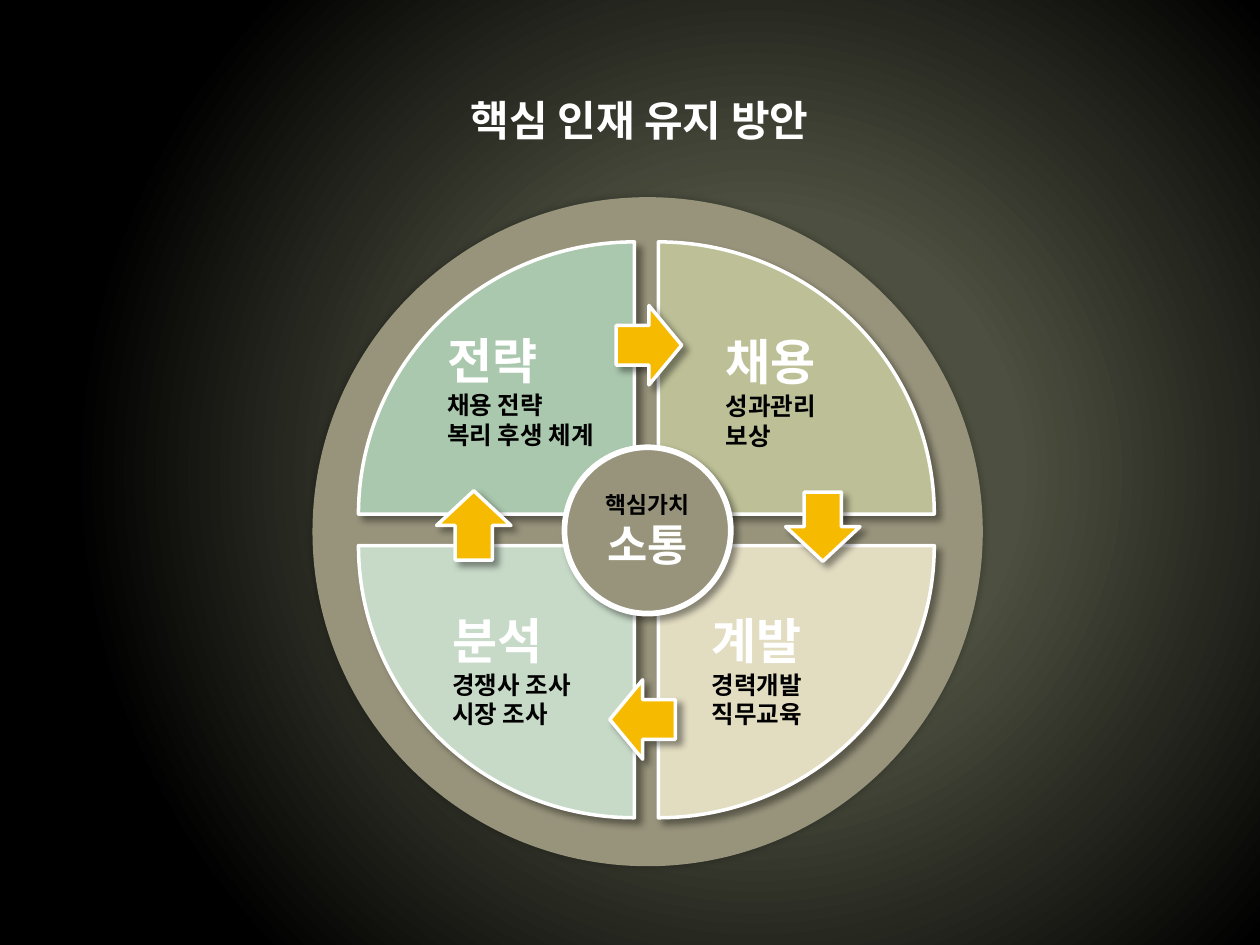
from lxml.etree import SubElement
from pptx import Presentation
from pptx.dml.color import RGBColor
from pptx.enum.shapes import MSO_SHAPE as Shape
from pptx.enum.text import MSO_ANCHOR as Anchor, MSO_AUTO_SIZE as AutoSize, PP_ALIGN as Align
from pptx.oxml.ns import qn
from pptx.util import Inches, Pt

FONT = "Noto Sans CJK KR"
WHITE = RGBColor(0xFF, 0xFF, 0xFF)
BLACK = RGBColor(0x00, 0x00, 0x00)
OLIVE = RGBColor(0x4D, 0x50, 0x40)
TAUPE = RGBColor(0x98, 0x94, 0x7C)
AMBER = RGBColor(0xF6, 0xBB, 0x00)
SAGE = RGBColor(0xAA, 0xC8, 0xAD)
MOSS = RGBColor(0xBD, 0xC0, 0x97)
SAND = RGBColor(0xE2, 0xDC, 0xC1)
MINT = RGBColor(0xC7, 0xDA, 0xC8)

COLUMNS = (3.94, 6.32)
ROWS = (3.0, 5.41)
WEDGE = (2.19, 2.16)
LINE_HEIGHT = 1.22

# column, row, turn, colour, heading, details, text left, text top, text width
QUADRANTS = (
    (0, 0, 0, SAGE, "전략", ("채용 전략", "복리 후생 체계"), 3.45, 2.57, 1.88),
    (1, 0, 90, MOSS, "채용", ("성과관리", "보상"), 5.66, 2.58, 1.33),
    (1, 1, 180, SAND, "계발", ("경력개발", "직무교육"), 5.55, 4.79, 1.88),
    (0, 1, 270, MINT, "분석", ("경쟁사 조사", "시장 조사"), 3.49, 4.79, 1.88),
)
ARROWS = (
    (5.15, 2.74, 0.52, 0.63, 0),
    (6.53, 4.18, 0.55, 0.59, 90),
    (5.10, 5.71, 0.52, 0.63, 180),
    (3.76, 4.17, 0.55, 0.59, 270),
)


def paint_background(slide):
    """Fill the slide with a circular gradient from olive to black."""
    slide.background.fill.gradient()
    gradient = slide.element.find(".//" + qn("a:gradFill"))
    for part in list(gradient):
        gradient.remove(part)
    stops = SubElement(gradient, qn("a:gsLst"))
    for share, color in ((33, OLIVE), (87, BLACK)):
        stop = SubElement(stops, qn("a:gs"), pos=str(share * 1000))
        SubElement(stop, qn("a:srgbClr"), val=str(color))
    circle = SubElement(gradient, qn("a:path"), path="circle")
    SubElement(circle, qn("a:fillToRect"), l="60000", t="50000", r="40000", b="50000")


def cast_shadow(shape, alpha=40, distance=4, angle=45):
    """Give a shape a soft black outer shadow."""
    shape.shadow.inherit = False
    effects = shape.element.spPr.find(qn("a:effectLst"))
    shadow = SubElement(effects, qn("a:outerShdw"), blurRad=str(Pt(4)), dist=str(Pt(distance)),
                        dir=str(angle * 60000), algn="ctr", rotWithShape="0")
    color = SubElement(shadow, qn("a:srgbClr"), val=str(BLACK))
    SubElement(color, qn("a:alpha"), val=str(alpha * 1000))


def add_piece(slide, kind, center, size, color, turn=0, outline=2, **shadow):
    """Add a filled, shadowed preset shape around a centre point."""
    (x, y), (width, height) = center, size
    piece = slide.shapes.add_shape(kind, Inches(x - width / 2), Inches(y - height / 2),
                                   Inches(width), Inches(height))
    piece.rotation = turn
    piece.fill.solid()
    piece.fill.fore_color.rgb = color
    if outline:
        piece.line.color.rgb = WHITE
        piece.line.width = Pt(outline)
    else:
        piece.line.fill.background()
    cast_shadow(piece, **shadow)
    return piece


def write_line(frame, text, size, color, align=Align.LEFT):
    """Write one bold paragraph, using the empty first one when available."""
    paragraph = frame.paragraphs[0] if not frame.text else frame.add_paragraph()
    paragraph.alignment = align
    paragraph.line_spacing = Pt(round(size * LINE_HEIGHT))
    paragraph.space_before = Pt(0)
    run = paragraph.add_run()
    run.text = text
    run.font.size = Pt(size)
    run.font.bold = True
    run.font.color.rgb = color
    run.font.name = FONT
    SubElement(run.font._element, qn("a:ea"), typeface=FONT)


def add_title(slide, text):
    """Place the slide title above the wheel."""
    title = slide.shapes.title
    title.left, title.top, title.width, title.height = map(Inches, (2.34, 0.7, 5.47, 0.5))
    frame = title.text_frame
    frame.vertical_anchor = Anchor.TOP
    frame.auto_size = AutoSize.SHAPE_TO_FIT_TEXT
    write_line(frame, text, 24, WHITE, Align.CENTER)


def add_quadrant_text(slide, heading, details, left, top, width):
    """Add a quadrant heading with its detail lines."""
    box = slide.shapes.add_textbox(Inches(left), Inches(top), Inches(width), Inches(1.04))
    frame = box.text_frame
    frame.word_wrap = True
    frame.auto_size = AutoSize.SHAPE_TO_FIT_TEXT
    write_line(frame, heading, 28, WHITE)
    for detail in details:
        write_line(frame, detail, 14, BLACK)


def add_core(slide):
    """Add the hub with the core value."""
    core = add_piece(slide, Shape.OVAL, (5.14, 4.21), (1.32, 1.32), TAUPE,
                     outline=3.25, distance=3)
    frame = core.text_frame
    frame.margin_left = frame.margin_right = 0
    frame.word_wrap = True
    frame.vertical_anchor = Anchor.MIDDLE
    write_line(frame, "핵심가치", 13, BLACK, Align.CENTER)
    write_line(frame, "소통", 25, WHITE, Align.CENTER)


def main():
    """Build the talent retention wheel."""
    deck = Presentation()
    deck.slide_width, deck.slide_height = Inches(10), Inches(7.5)
    slide = deck.slides.add_slide(deck.slide_layouts[5])
    paint_background(slide)
    add_title(slide, "핵심 인재 유지 방안")
    add_piece(slide, Shape.OVAL, (5.14, 4.22), (5.32, 5.31), TAUPE,
              outline=0, alpha=30, distance=0, angle=0)
    for column, row, turn, color, *content in QUADRANTS:
        size = WEDGE if turn % 180 == 0 else WEDGE[::-1]
        add_piece(slide, Shape.PIE_WEDGE, (COLUMNS[column], ROWS[row]), size, color, turn)
        add_quadrant_text(slide, *content)
    for x, y, length, breadth, turn in ARROWS:
        add_piece(slide, Shape.RIGHT_ARROW, (x, y), (length, breadth), AMBER, turn)
    add_core(slide)
    deck.save("out.pptx")


if __name__ == "__main__":
    main()
